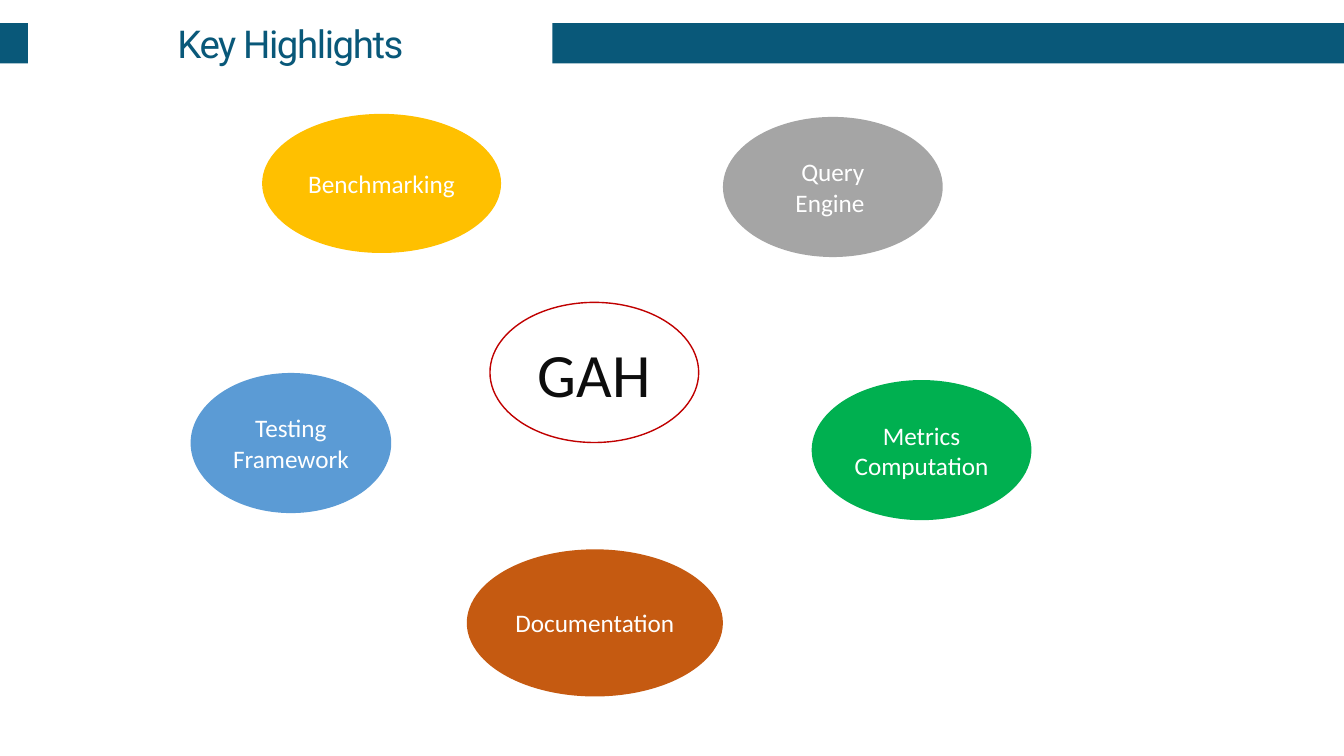
from pptx import Presentation
from pptx.dml.color import RGBColor
from pptx.enum.shapes import MSO_SHAPE
from pptx.enum.text import MSO_ANCHOR, MSO_AUTO_SIZE, PP_ALIGN
from pptx.util import Emu, Pt

PX = 9144
TEAL = RGBColor(0x09, 0x58, 0x79)
WHITE = RGBColor(0xFF, 0xFF, 0xFF)
INK = RGBColor(0x0D, 0x0D, 0x0D)
RED = RGBColor(0xC0, 0x00, 0x00)
GOLD = RGBColor(0xFF, 0xC0, 0x00)
BLUE = RGBColor(0x5B, 0x9B, 0xD5)
RUST = RGBColor(0xC5, 0x5A, 0x11)
GREEN = RGBColor(0x00, 0xB0, 0x50)
GRAY = RGBColor(0xA5, 0xA5, 0xA5)

TOPICS = [
    ("Benchmarking", (260, 113, 237, 138), GOLD),
    ("Testing Framework", (189, 370, 199, 139), BLUE),
    ("Documentation", (463, 545, 254, 146), RUST),
    ("Metrics Computation", (805, 377, 218, 139), GREEN),
    ("Query Engine ", (717, 116, 218, 139), GRAY),
]


def scale(box):
    return [Emu(n * PX) for n in box]


def write(shape, text, size=18, font="Calibri", color=WHITE, pad=(10, 5), space=0):
    frame = shape.text_frame
    frame.word_wrap = True
    frame.auto_size = MSO_AUTO_SIZE.NONE
    frame.vertical_anchor = MSO_ANCHOR.MIDDLE
    side, edge = scale(pad)
    frame.margin_left = frame.margin_right = side
    frame.margin_top = frame.margin_bottom = edge
    para = frame.paragraphs[0]
    para.alignment = PP_ALIGN.CENTER
    run = para.add_run()
    run.text = text
    run.font.size = Pt(size)
    run.font.name = font
    run.font.color.rgb = color
    if space:
        run.font._element.set("spc", str(space))


def draw(slide, kind, box, fill=None, line=None):
    shape = slide.shapes.add_shape(kind, *scale(box))
    shape.shadow.inherit = False
    if fill is None:
        shape.fill.background()
    else:
        shape.fill.solid()
        shape.fill.fore_color.rgb = fill
    if line is None:
        shape.line.fill.background()
    else:
        shape.line.color.rgb = line
        shape.line.width = Pt(1)
    return shape


def head(slide, text):
    draw(slide, MSO_SHAPE.RECTANGLE, (0, 23, 1333, 40), TEAL)
    title = slide.shapes.title
    title.left, title.top, title.width, title.height = scale((28, 13, 520, 60))
    title.fill.solid()
    title.fill.fore_color.rgb = WHITE
    write(title, text, size=27.4, font="Roboto", color=TEAL, pad=(13, 7), space=-100)
    slide.shapes._spTree.append(title.element)


def main():
    deck = Presentation()
    deck.slide_width, deck.slide_height = scale((1333, 750))
    slide = deck.slides.add_slide(deck.slide_layouts[5])
    head(slide, "Key Highlights")
    hub = draw(slide, MSO_SHAPE.OVAL, (486, 300, 207, 139), line=RED)
    write(hub, "GAH", size=44, color=INK)
    for text, box, fill in TOPICS:
        write(draw(slide, MSO_SHAPE.OVAL, box, fill), text)
    deck.save("out.pptx")


if __name__ == "__main__":
    main()
